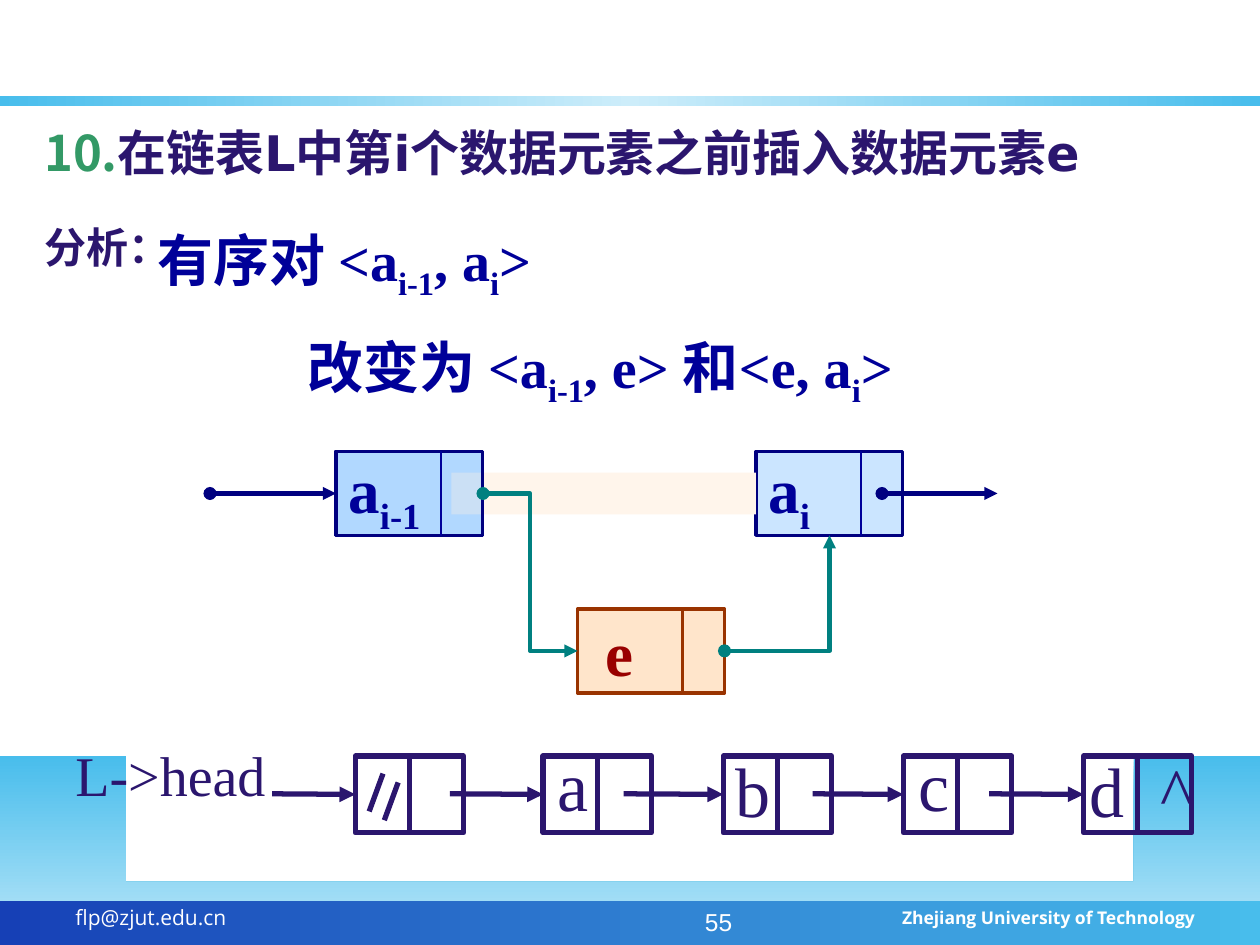
from copy import deepcopy

from lxml import etree
from pptx import Presentation
from pptx import util as u
from pptx.dml.color import RGBColor
from pptx.enum import shapes, text
from pptx.oxml.ns import qn

WIDTH, HEIGHT = 10, 7.5
GRID = 1 / 12
SKY = RGBColor(0x48, 0xBD, 0xEC)
MIST = RGBColor(0xE3, 0xF5, 0xFC)
PALE_SKY = RGBColor(0xCD, 0xED, 0xFA)
ROYAL = RGBColor(0x16, 0x40, 0xB6)
WHITE = RGBColor(0xFF, 0xFF, 0xFF)
INK = RGBColor(0x2B, 0x16, 0x6E)
GREEN = RGBColor(0x33, 0x99, 0x66)
NAVY = RGBColor(0x00, 0x00, 0x80)
BLUE = RGBColor(0x00, 0x00, 0x99)
LIGHT_BLUE = RGBColor(0x99, 0xCC, 0xFF)
BROWN = RGBColor(0x99, 0x33, 0x00)
PEACH = RGBColor(0xFF, 0xCC, 0x99)
CREAM = RGBColor(0xFF, 0xF5, 0xEB)
RED = RGBColor(0x99, 0x00, 0x00)
TEAL = RGBColor(0x00, 0x80, 0x80)
SERIF = "Times New Roman"


def inches(*values):
    """Turn numbers into inch lengths."""
    return [u.Inches(value) for value in values]


def write(paragraph, parts, color, **formats):
    """Fill a paragraph from a string; odd parts split by | are subscripts."""
    for index, part in enumerate(parts.split("|")):
        if not part:
            continue
        run = paragraph.add_run()
        run.text = part
        for name, value in formats.items():
            setattr(run.font, name, value)
        run.font.color.rgb = color
        if index % 2:
            run.font._element.set("baseline", "-25000")


def label(slide, box, words, color, align=text.PP_ALIGN.LEFT, spacing=1.0, **formats):
    """Add a one-line text box and return its paragraph."""
    frame = slide.shapes.add_textbox(*inches(*box)).text_frame
    frame.word_wrap = True
    paragraph = frame.paragraphs[0]
    paragraph.alignment, paragraph.line_spacing = align, spacing
    write(paragraph, words, color, **formats)
    return paragraph


def block(slide, box, fill=None, line=None, width=1, opacity=100):
    """Add a flat rectangle with an optional fill and outline."""
    shape = slide.shapes.add_shape(shapes.MSO_SHAPE.RECTANGLE, *inches(*box))
    shape.shadow.inherit = False
    if fill is None:
        shape.fill.background()
    else:
        shape.fill.solid()
        shape.fill.fore_color.rgb = fill
    if opacity < 100:
        tint = shape._element.spPr.find(f"{qn('a:solidFill')}/{qn('a:srgbClr')}")
        etree.SubElement(tint, qn("a:alpha")).set("val", str(opacity * 1000))
    if line is None:
        shape.line.fill.background()
    else:
        shape.line.color.rgb, shape.line.width = line, u.Pt(width)
    return shape


def link(slide, start, end, color, width, ends=None, joins=(None, None), bend=None):
    """Draw a connector with given arrowheads, joined to (shape, site) pairs."""
    kind = shapes.MSO_CONNECTOR.ELBOW if bend else shapes.MSO_CONNECTOR.STRAIGHT
    line = slide.shapes.add_connector(kind, *inches(*start, *end))
    line.line.color.rgb, line.line.width = color, u.Pt(width)
    for tag, head in (ends or {}).items():
        etree.SubElement(line.line._get_or_add_ln(), qn(f"a:{tag}")).set("type", head)
    etree.SubElement(line._element.spPr, qn("a:effectLst"))
    if bend:
        line._element.spPr.find(qn("a:prstGeom")).set("prst", bend)
    for join, connect in zip(joins, (line.begin_connect, line.end_connect)):
        if join:
            connect(*join)


def gradient(shape, colors, angle):
    """Fill a shape with evenly spaced gradient stops."""
    shape.fill.gradient()
    shape.fill.gradient_angle = angle
    stops = shape._element.spPr.find(f"{qn('a:gradFill')}/{qn('a:gsLst')}")
    for _ in colors[2:]:
        stops.append(deepcopy(stops[0]))
    for index, (stop, color) in enumerate(zip(shape.fill.gradient_stops, colors)):
        stop.color.rgb, stop.position = color, index / (len(colors) - 1)


def wave(slide, curves, bottom):
    """Draw the sweeping hill below a chain of Bezier curves."""
    points = []
    for curve in curves:
        for step in range(25):
            t = step / 24
            weights = ((1 - t) ** 3, 3 * t * (1 - t) ** 2, 3 * t * t * (1 - t), t ** 3)
            points.append(tuple(sum(w * p[axis] for w, p in zip(weights, curve)) for axis in (0, 1)))
    builder = slide.shapes.build_freeform(*points[0], scale=u.Inches(1))
    builder.add_line_segments(points[1:] + [(0, bottom), (WIDTH, bottom)], close=True)
    hill = builder.convert_to_shape()
    hill.shadow.inherit = False
    hill.line.fill.background()
    gradient(hill, (SKY, MIST), 270)


def backdrop(slide, footer_top):
    """Draw the wave, the two bands and the footer texts."""
    middle = (4.92, 7.04)
    wave(slide, (((10, 5.95), (8.49, 6.95), (6.42, 7.01), middle),
                 (middle, (3.42, 7.07), (1.11, 6.78), (0, 6.02))), HEIGHT)
    gradient(block(slide, (0, footer_top, WIDTH, HEIGHT - footer_top)), (SKY, ROYAL), 180)
    gradient(block(slide, (0, 0.76, WIDTH, 0.08)), (SKY, PALE_SKY, SKY), 180)
    right = text.PP_ALIGN.RIGHT
    label(slide, (0.5, footer_top - 0.02, 2.33, 0.35), "flp@zjut.edu.cn", WHITE,
          name="Open Sans", size=u.Pt(12))
    label(slide, (6.5, footer_top, 3.08, 0.35), "Zhejiang University of Technology", WHITE,
          right, name="Open Sans", size=u.Pt(10), bold=True)
    label(slide, (3.58, footer_top, 2.33, 0.35), "55", WHITE, right, name="Arial", size=u.Pt(14))


def question(body, box):
    """Place the numbered task and the analysis heading in the body placeholder."""
    body.left, body.top, body.width, body.height = inches(*box)
    frame = body.text_frame
    frame.auto_size = text.MSO_AUTO_SIZE.NONE
    rows = (("在链表L中第i个数据元素之前插入数据元素e", 28, 0), ("分析：", 24, 23))
    for index, (words, size, gap) in enumerate(rows):
        paragraph = frame.add_paragraph() if index else frame.paragraphs[0]
        paragraph.space_before = u.Pt(gap)
        properties = paragraph._p.get_or_add_pPr()
        properties.set("marL", str(u.Inches(0.58)))
        properties.set("indent", str(-u.Inches(0.58)))
        if index:
            etree.SubElement(properties, qn("a:buNone"))
        else:
            tint = etree.SubElement(properties, qn("a:buClr"))
            etree.SubElement(tint, qn("a:srgbClr")).set("val", str(GREEN))
            number = etree.SubElement(properties, qn("a:buAutoNum"))
            number.set("type", "arabicPeriod")
            number.set("startAt", "10")
        write(paragraph, words, INK, name="DejaVu Sans", size=u.Pt(size), bold=True)


def pairs(slide, box):
    """Write how the ordered pair changes."""
    frame = slide.shapes.add_textbox(*inches(*box)).text_frame
    frame.word_wrap = True
    rows = (("有序对 <a|i-1|, a|i|>", 0.14), ("改变为 <a|i-1|, e> 和<e, a|i|>", 1.33))
    for index, (words, margin) in enumerate(rows):
        paragraph = frame.add_paragraph() if index else frame.paragraphs[0]
        paragraph.line_spacing = 1.4
        paragraph._p.get_or_add_pPr().set("marL", str(u.Inches(margin)))
        write(paragraph, words, BLUE, name=SERIF, size=u.Pt(32), bold=True)


def insertion(slide, left, top):
    """Draw the insertion of e between two nodes on the twelfth-inch grid."""
    def at(column, row):
        return left + column * GRID, top + row * GRID

    def node(column, row, words="", fill=LIGHT_BLUE, edge=NAVY, width=1.75, color=BLUE,
             divider=(BLUE, 0.75), inset=0.1):
        shape = block(slide, (*at(column, row), 14 * GRID, 8 * GRID), fill, edge, width, 50)
        shape.text_frame.margin_left = u.Inches(inset)
        shape.text_frame.word_wrap = False
        paragraph = shape.text_frame.paragraphs[0]
        paragraph.alignment = text.PP_ALIGN.LEFT
        write(paragraph, words, color, name=SERIF, size=u.Pt(36), bold=True)
        if divider:
            link(slide, at(column + 10, row), at(column + 10, row + 8), *divider)
        return shape

    ends = {"headEnd": "oval", "tailEnd": "triangle"}
    node(12, 0, divider=None)
    added = node(35, 15, "e", PEACH, BROWN, 2, RED, (BROWN, 2), 0.22)
    following = node(52, 0, "a|i")
    link(slide, at(64, 4), at(75, 4), NAVY, 2.5, ends)
    block(slide, (*at(23, 2), 29 * GRID, 4 * GRID), CREAM)
    previous = node(12, 0, "a|i-1")
    link(slide, at(0, 4), at(12, 4), NAVY, 2.5, ends, (None, (previous, 1)))
    link(slide, at(26, 4), at(35, 19), TEAL, 2.5, ends, ((previous, 3), (added, 1)), "bentConnector3")
    link(slide, at(49, 19), at(59, 8), TEAL, 2.5, ends, ((added, 3), (following, 2)), "bentConnector2")


def linked_list(slide, left, top):
    """Draw the list from its head pointer to the last node."""
    cell_width, cell_height, middle = 0.86, 0.61, top + 0.3
    label(slide, (left, top - 0.17, 1.87, 0.91), "L->head", INK, name=SERIF, size=u.Pt(32))
    cells = (("", 0, 0, 0.75), ("a", 0.02, -0.12, 0.64), ("b", 0, -0.07, 0.71),
             ("c", 0.02, -0.12, 0.68), ("d\t^", -0.05, -0.07, None))
    source = left + 1.66
    for index, (words, shift, rise, pointer) in enumerate(cells):
        x = left + (2.38 + 1.43 * index if index else 2.32)
        if words:
            paragraph = label(slide, (x + shift, top + rise, 1.2, 0.91), words, INK, spacing=0.96,
                              name=SERIF, size=u.Pt(40))
            if "\t" in words:
                tabs = etree.SubElement(paragraph._p.get_or_add_pPr(), qn("a:tabLst"))
                stop = etree.SubElement(tabs, qn("a:tab"))
                stop.set("pos", str(u.Inches(0.56)))
                stop.set("algn", "l")
        cell = block(slide, (x, top, cell_width, cell_height), line=INK, width=3)
        link(slide, (x + cell_width / 2, top), (x + cell_width / 2, top + cell_height), INK, 3)
        link(slide, (source, middle), (x, middle), INK, 3, {"tailEnd": "triangle"}, (None, (cell, 1)))
        if pointer:
            source = x + pointer
        if not index:
            for dx, dy in ((0.22, 0.14), (0.34, 0.21)):
                link(slide, (x + dx, top + dy), (x + dx - 0.11, top + dy + 0.3), INK, 3)


def main():
    """Build and save the slide."""
    deck = Presentation()
    deck.slide_width, deck.slide_height = inches(WIDTH, HEIGHT)
    slide = deck.slides.add_slide(deck.slide_layouts[1])
    title, body = slide.placeholders
    title._element.getparent().remove(title._element)
    backdrop(slide, 7.15)
    question(body, (0.25, 0.92, 9.5, 6.25))
    linked_list(slide, 0.5, 6)
    pairs(slide, (1.01, 1.5, 7.5, 2.49))
    insertion(slide, 20 * GRID, 43 * GRID)
    deck.save("out.pptx")


if __name__ == "__main__":
    main()
